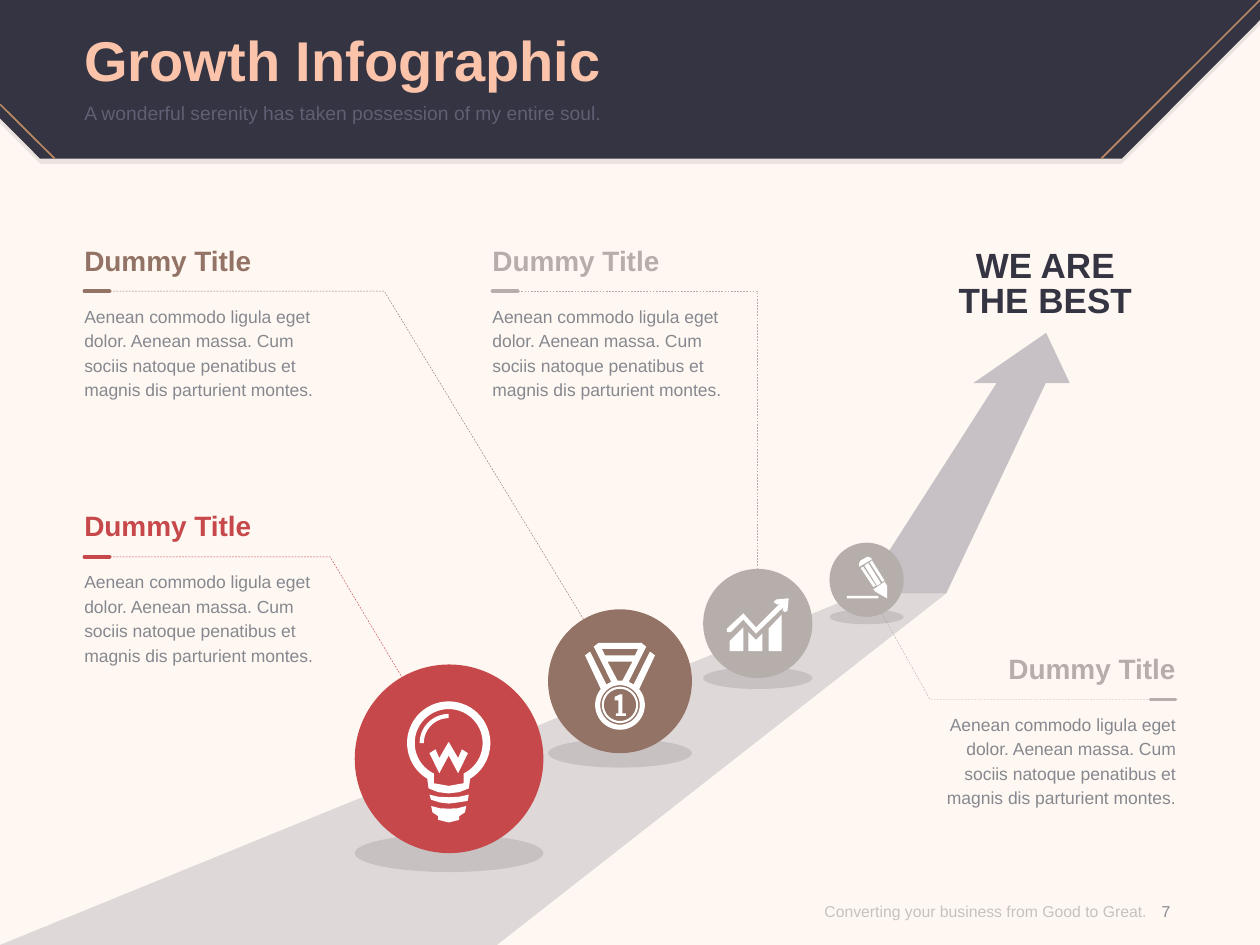
from math import cos, radians, sin

from lxml.etree import SubElement
from pptx import Presentation
from pptx.dml.color import RGBColor
from pptx.enum.dml import MSO_LINE
from pptx.enum.shapes import MSO_CONNECTOR, MSO_SHAPE
from pptx.enum.text import MSO_ANCHOR, MSO_AUTO_SIZE, PP_ALIGN
from pptx.oxml.ns import qn
from pptx.util import Pt

rgb = RGBColor.from_string


def paint(shape, tint, alpha=100):
    """Fill a shape flat, without line or shadow."""
    shape.shadow.inherit = False
    shape.line.fill.background()
    shape.fill.solid()
    shape.fill.fore_color.rgb = rgb(tint)
    if alpha < 100:
        color = shape.element.spPr.find(qn("a:solidFill"))[0]
        SubElement(color, qn("a:alpha"), val=str(alpha * 1000))


def trace(paths, x=0, y=0, close=True):
    """Draw outlines; an item is a point or an arc (x, y, radius, from, to)."""
    pen = None
    for path in paths:
        dots = []
        for item in path:
            if len(item) == 2:
                dots.append(item)
                continue
            cx, cy, r, start, end = item
            turns = [radians(start + (end - start) * i / 48) for i in range(49)]
            dots += [(cx + r * cos(t), cy + r * sin(t)) for t in turns]
        # The pen rounds to whole units, so work in hundredths of a point
        dots = [((x + a) * 100, (y + b) * 100) for a, b in dots]
        if pen is None:
            pen = page.shapes.build_freeform(*dots[0], scale=Pt(1) / 100)
        else:
            pen.move_to(*dots[0])
        pen.add_line_segments(dots[1:], close=close)
    return pen.convert_to_shape()


deck = Presentation()
deck.slide_width, deck.slide_height = Pt(720), Pt(540)
page = deck.slides.add_slide(deck.slide_layouts[7])
page.background.fill.solid()
page.background.fill.fore_color.rgb = rgb("FFF7F2")
title, spare, lead = page.placeholders
spare.element.getparent().remove(spare.element)

# Header band with its soft shade
band = [(0, 0), (720, 0), (720, 11.5), (641, 90.7), (23, 90.7), (0, 67.7)]
paint(trace([band], y=2.9), "343442", 10)
paint(trace([band]), "343442")

# Rising road and arrow
road = [(0, 540), (284, 540), (540.7, 339.1), (492.5, 339.1)]
paint(trace([road]), "605F73", 20)
arrow = [(611.3, 218.9), (597.8, 190.2), (556.2, 218.9), (569.5, 218.9),
         (492.5, 339.1), (540.7, 339.1), (597.6, 218.9)]
paint(trace([arrow]), "605F73", 35)

# Callouts: left, rule height, colour, side, bends of the leader
LEFT, MID, RIGHT = PP_ALIGN.LEFT, PP_ALIGN.CENTER, PP_ALIGN.RIGHT
calls = [
    (48.2, 318.2, "C7484A", LEFT, [(188.6, 318.2), (256.3, 431.6)]),
    (48.2, 166.4, "927365", LEFT, [(219.6, 166.4), (354.2, 388)]),
    (281.4, 166.4, "B6AEAB", LEFT, [(432.9, 166.4), (432.9, 356.4)]),
    (532.8, 399.6, "B6AEAB", RIGHT, [(531.4, 399.6), (493.9, 332.6)]),
]
blurb = ("Aenean commodo ligula eget dolor. Aenean massa. "
         "Cum sociis natoque penatibus et magnis dis parturient montes.")
wide = 139
texts = []
lines = [((720, 0), (629.3, 90.7), "B98763", 1),
         ((0, 59.6), (31.3, 90.7), "B98763", 1)]
for x, y, tint, side, bends in calls:
    left = x if side == LEFT else x + wide - 14.4
    leader = trace([[(left + 13 if side == LEFT else left + 4, y)] + bends],
                   close=False)
    leader.shadow.inherit = False
    leader.fill.background()
    leader.line.color.rgb = rgb(tint)
    leader.line.width = Pt(0.25)
    leader.line.dash_style = MSO_LINE.DASH
    lines.append(((left, y), (left + 14.4, y), tint, 2))
    texts += [
        (None, (x, y - 27.3, wide, 19.4), "Dummy Title", tint,
         dict(size=Pt(16), bold=True), dict(alignment=side)),
        (None, (x, y + 6.2, wide, 57), blurb, "85898F",
         dict(size=Pt(10)), dict(alignment=side, line_spacing=Pt(14))),
    ]

# Header accents and callout rules
for start, end, tint, width in lines:
    ends = [Pt(v) for v in start + end]
    rule = page.shapes.add_connector(MSO_CONNECTOR.STRAIGHT, *ends)
    rule.line.color.rgb = rgb(tint)
    rule.line.width = Pt(width)
    if width == 2:
        rule.element.spPr.find(qn("a:ln")).set("cap", "rnd")
    SubElement(rule.element.spPr, qn("a:effectLst"))

# Icons, measured from their own centres
bulb = [
    [(0, 0, 23.8, 121, 419), (11.5, 25.9), (6, 28.1), (0, 28.8), (-6, 28.1),
     (-11.5, 25.9)],
    [(0, 0, 19.4, 116, 424), (8.5, 23), (0, 24.5), (-8.5, 23)],
    [(0, 0, 16.6, 180, 270), (0, 0, 14.2, 270, 180)],
    [(0, -0.7), (-5.4, 8.6), (-7.5, 3.6), (-11, 5.8), (-5.4, 17.3), (0, 7.2),
     (5.4, 17.3), (11, 5.8), (7.5, 3.6), (5.4, 8.6)],
    [(-11, 29.5), (-10.1, 32.4), (-5, 34), (0, 34.6), (5, 34), (10.8, 33.1),
     (11.5, 29.5), (6, 30.7), (0, 31), (-6, 30.7)],
    [(-10, 36), (-9.3, 39.6), (-6, 41.8), (-6, 43.9), (0, 45.4), (6, 43.9),
     (6, 41.8), (9.3, 39.6), (10, 36), (5, 37.3), (0, 37.5), (-5, 37.3)],
]
strap = [(20, -28.3), (17.1, -30.5), (7.8, -11.7), (5, -13.2), (15, -33.3),
         (12.2, -35.5)]
medal = [
    strap + [(-a, b) for a, b in reversed(strap)] + [(0, 0, 14.2, 219.5, -39.5)],
    [(-10.3, -32), (10.3, -32), (8.6, -28.3), (-8.6, -28.3)],
    [(-7.1, -24.7), (7.1, -24.7), (1.4, -13.9), (-1.4, -13.9)],
    *[[(0, 0, r, 0, 360)] for r in (11.3, 10.4, 9.2)],
    [(1.4, -6), (0, -6), (-3, -4.6), (-3, -2.6), (-0.9, -2.6), (-0.9, 4.8),
     (-2.4, 4.8), (-2.4, 6.3), (3.4, 6.3), (3.4, 4.8), (1.4, 4.8)],
]
graph = [
    [(10.5, -13.7), (9.1, -12.2), (11.2, -10.8), (12.7, -11.5), (-1, 2.2),
     (-8.2, -5.8), (-17.6, 2.9), (-17.6, 5), (-15.4, 5), (-8.2, -2.2),
     (-1, 5.8), (14.8, -9.4), (14.2, -7.5), (15.5, -6.5), (17, -7.2),
     (17.7, -14.4)],
    [(-16.1, 10.1), (-16.1, 15.8), (-8.2, 15.8), (-8.2, 2.2)],
    [(-5.3, 5), (-5.3, 15.8), (2.6, 15.8), (2.6, 5.8), (-1, 9.4)],
    [(6.2, 2.9), (6.2, 15.8), (13.7, 15.8), (13.7, -5)],
]
pencil = [
    [(3.8, 5.8), (5.3, 7.2), (11.7, 10.8), (11.7, 3.6), (10.3, 1.4)],
    [(8.9, 1.4), (10.3, 0.7), (3.1, -10.8), (1.7, -9.8)],
    [(8.1, 2.2), (0.9, -9.4), (-1.2, -7.9), (6, 3.6)],
    [(-3.4, -6.5), (3.8, 4.3), (5.3, 3.6), (-1.9, -7.2)],
    [(-4.1, -7.2), (3.1, -11.5), (2.4, -12.4), (0.5, -13), (-3.4, -10.8),
     (-4.4, -9)],
    [(-11.3, 9.4), (-11.3, 10.8), (6.7, 10.8), (6.7, 9.4)],
]

# Discs on their shadows: centre, size, colour, icon, icon centre
discs = [
    (256.6, 433.6, 107.8, "C7484A", bulb, 256.4, 424.6),
    (354.3, 389.3, 82.2, "927365", medal, 354.3, 402.8),
    (433, 356.3, 62.4, "B6AEAB", graph, 433, 356.3),
    (495.2, 331.3, 42.4, "B6AEAB", pencil, 495.2, 331.1),
]
for x, y, size, tint, icon, ix, iy in discs:
    for mid, tall, tone, alpha in [(y + size / 2, size / 5, "000000", 10),
                                   (y, size, tint, 100)]:
        box = [Pt(v) for v in (x - size / 2, mid - tall / 2, size, tall)]
        paint(page.shapes.add_shape(MSO_SHAPE.OVAL, *box), tone, alpha)
    paint(trace(icon, ix, iy), "FFFFFF")

# All wording: placeholder, box, text, colour, font, paragraph
texts += [
    (title, (48.2, 10.1, 623.5, 46.8), "Growth Infographic", "FBC4AA",
     dict(size=Pt(32), bold=True), dict(alignment=LEFT)),
    (lead, (48.2, 57.6, 623.5, 28), "A wonderful serenity has taken "
     "possession of my entire soul.", "605F73",
     dict(size=Pt(11)), dict(alignment=LEFT, space_before=Pt(0))),
    (None, (527.8, 143.3, wide, 40.3), "WE ARE\nTHE BEST", "343442",
     dict(size=Pt(20), bold=True), dict(alignment=MID, line_spacing=Pt(20))),
    (None, (434.9, 501.1, 220.3, 38.9), "Converting your business from Good "
     "to Great.", "C6C2BF", dict(size=Pt(9)), dict(alignment=RIGHT)),
    (None, (649.4, 501.1, 33.8, 38.9), "7", "85898F",
     dict(size=Pt(9)), dict(alignment=MID)),
]
for holder, box, words, tint, font, para in texts:
    box = [Pt(v) for v in box]
    shape = holder or page.shapes.add_textbox(*box)
    page.shapes.element.append(shape.element)
    for name, value in zip(("left", "top", "width", "height"), box):
        setattr(shape, name, value)
    frame = shape.text_frame
    middle = holder is title or font["size"] == Pt(9)
    frame.text = words
    look = dict(margin_left=0, margin_top=0, margin_right=0, margin_bottom=0,
                word_wrap=True, auto_size=MSO_AUTO_SIZE.NONE,
                vertical_anchor=MSO_ANCHOR.MIDDLE if middle else MSO_ANCHOR.TOP)
    for name, value in look.items():
        setattr(frame, name, value)
    for line in frame.paragraphs:
        for name, value in para.items():
            setattr(line, name, value)
        for name, value in dict(name="Arial", **font).items():
            setattr(line.runs[0].font, name, value)
        line.runs[0].font.color.rgb = rgb(tint)

deck.save("out.pptx")
